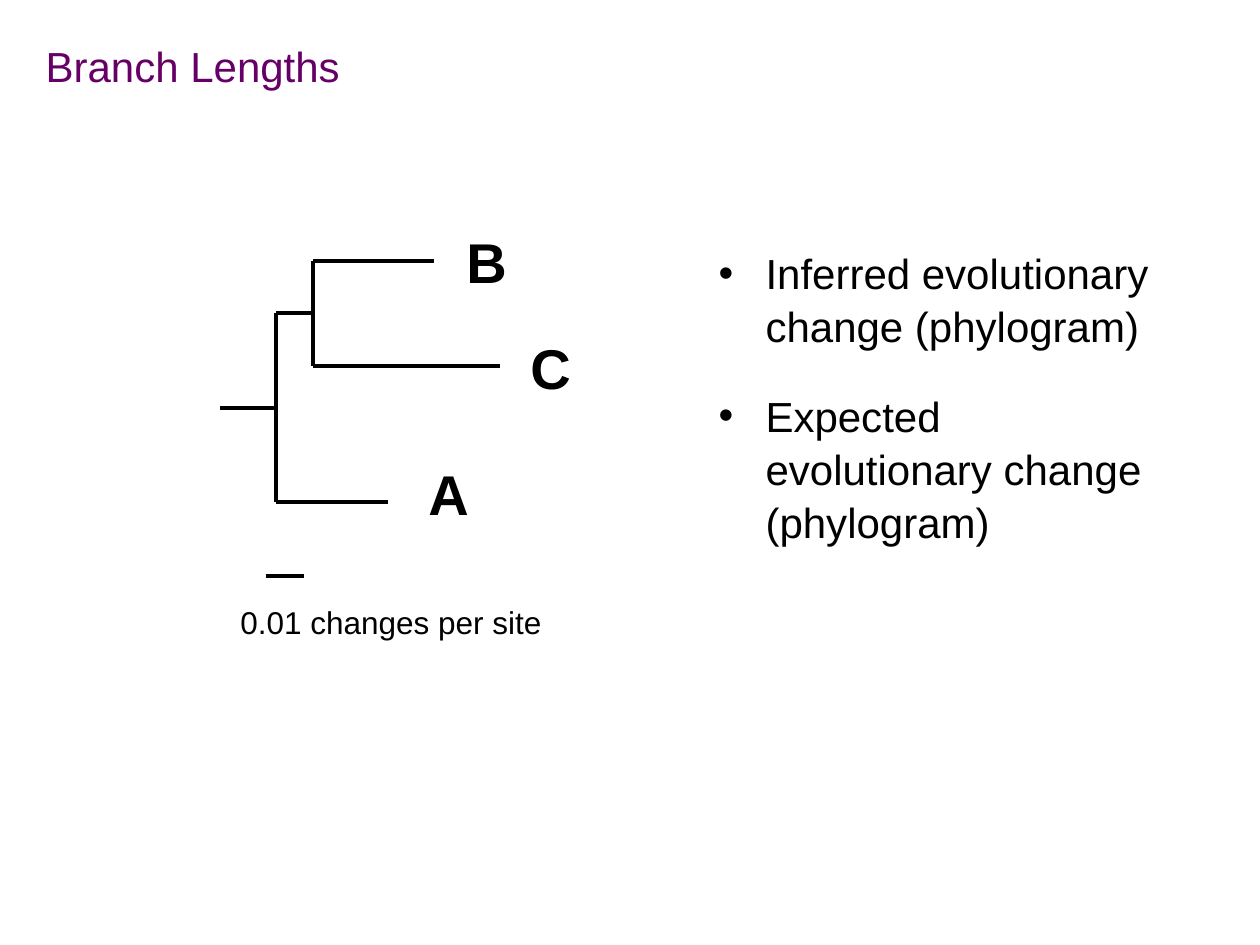
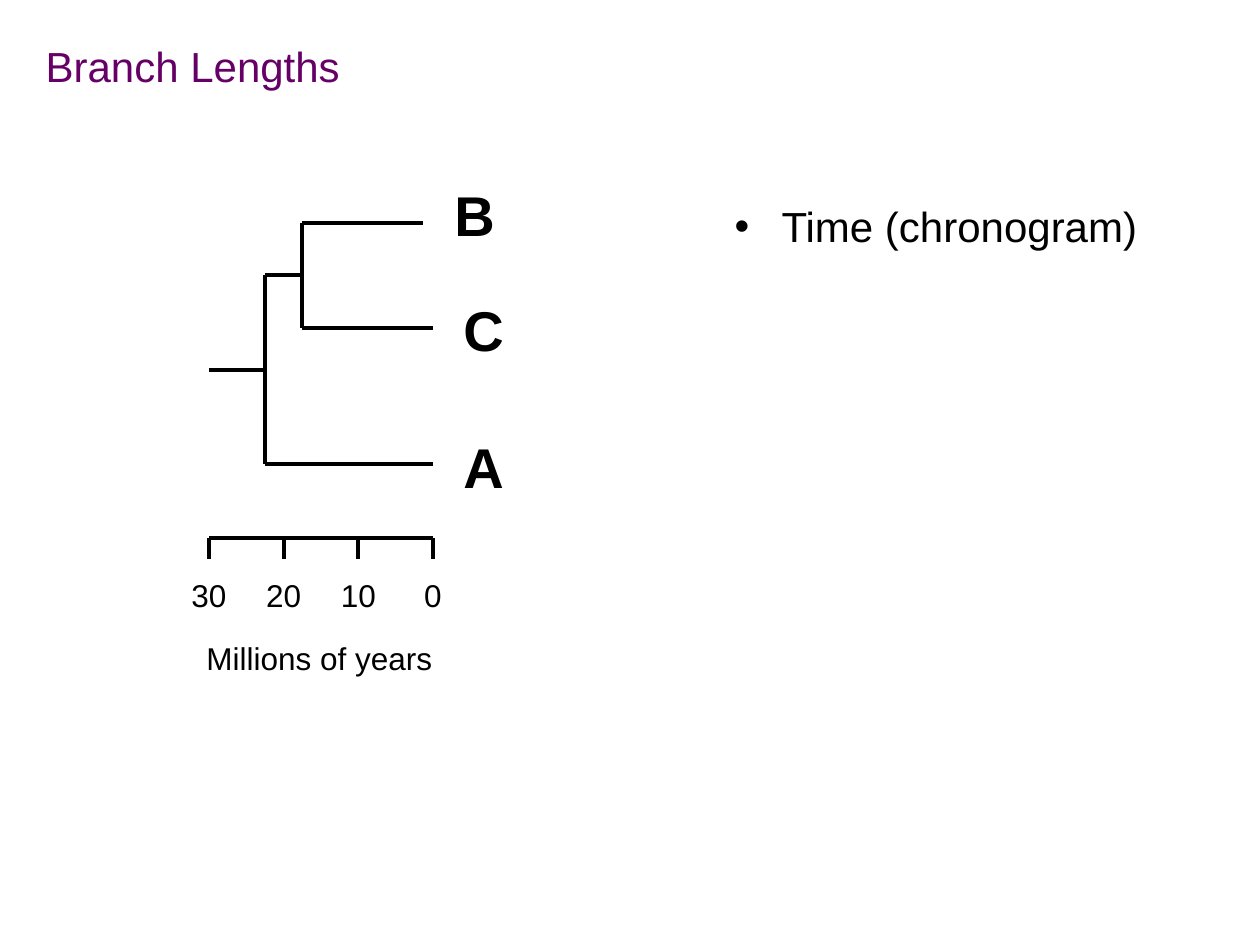
from lxml.etree import SubElement
from pptx import Presentation
from pptx.dml.color import RGBColor
from pptx.enum.shapes import MSO_CONNECTOR
from pptx.enum.text import MSO_ANCHOR as ANCHOR, MSO_AUTO_SIZE as AUTO, PP_ALIGN as ALIGN
from pptx.oxml.ns import qn
from pptx.util import Pt

PX = 914400 / 126  # EMU per px
BLACK = RGBColor(0x00, 0x00, 0x00)
PURPLE = RGBColor(0x66, 0x00, 0x66)
FONT = "Arial"


def emu(*lengths):
    return [round(n * PX) for n in lengths]


class Deck:
    """Shared style and the slide being built."""

    def __init__(self):
        self.prs = Presentation()
        self.prs.slide_width, self.prs.slide_height = emu(1260, 945)
        self.slide = None

    def new_slide(self, title):
        self.slide = self.prs.slides.add_slide(self.prs.slide_layouts[1])
        sp = self.slide.shapes.title
        self.place(sp, 33, 34, 323, 63)
        sp.text_frame.text = title
        self.format(sp.text_frame, 24, PURPLE)

    def place(self, sp, *box):
        sp.left, sp.top, sp.width, sp.height = emu(*box)

    def format(self, tf, size, color=BLACK, bold=False, wrap=False,
               align=ALIGN.LEFT, anchor=ANCHOR.TOP):
        tf.word_wrap, tf.auto_size = wrap, AUTO.NONE
        tf.vertical_anchor = anchor
        for p in tf.paragraphs:
            p.alignment = align
            for r in p.runs:
                r.font.name, r.font.size, r.font.bold = FONT, Pt(size), bold
                r.font.color.rgb = color

    def bullets(self, x, y, items):
        sp = self.slide.placeholders[1]
        self.place(sp, x, y, 485, 158)
        tf = sp.text_frame
        tf.text = "\n".join(items)
        for i, p in enumerate(tf.paragraphs):
            pPr = p._p.get_or_add_pPr()
            indent = emu(47)[0]
            pPr.set("marL", str(indent))
            pPr.set("indent", str(-indent))
            SubElement(pPr, qn("a:buFont")).set("typeface", FONT)
            SubElement(pPr, qn("a:buChar")).set("char", "•")
            p.line_spacing = 1.05
            p.space_before = Pt(21 if i else 0)
        self.format(tf, 24, wrap=True)

    def text(self, text, x, y, w, h, size, **style):
        sp = self.slide.shapes.add_textbox(*emu(x, y, w, h))
        sp.text_frame.text = text
        self.format(sp.text_frame, size, **style)

    def line(self, x1, y1, x2, y2):
        c = self.slide.shapes.add_connector(MSO_CONNECTOR.STRAIGHT, *emu(x1, y1, x2, y2))
        c.line.color.rgb = BLACK
        c.line.width = Pt(2.25)
        SubElement(c._element.spPr, qn("a:effectLst"))

    def tree(self, x, y, tips, labels):
        """Tree of ((B, C), A): x is the root's left end, y the row of B."""
        root, inner = x + 56, x + 93
        rows = {"B": y, "C": y + 105, "A": y + 241}
        starts = {"B": inner, "C": inner, "A": root}
        inner_y, root_y = y + 52, y + 147
        # Branches to the tips
        for name, row in rows.items():
            self.line(starts[name], row, tips[name], row)
        # Nodes and the branches behind them
        self.line(inner, rows["B"], inner, rows["C"])
        self.line(root, inner_y, inner, inner_y)
        self.line(root, inner_y, root, rows["A"])
        self.line(x, root_y, root, root_y)
        for name, (left, top) in labels.items():
            self.text(name, left, top, 29, 45, 32, bold=True, wrap=True,
                      anchor=ANCHOR.MIDDLE)

    def time_axis(self, left, right, y, values):
        self.line(left, y, right, y)
        step = (right - left) / (len(values) - 1)
        for i, value in enumerate(values):
            x = left + i * step
            self.line(x, y, x, y + 21)
            self.text(str(value), x - 30, y + 32, 60, 50, 18, align=ALIGN.CENTER)


def main():
    deck = Deck()

    # Phylogram
    deck.new_slide("Branch Lengths")
    deck.tree(220, 261, {"B": 434, "C": 500, "A": 388},
              {"B": (454, 239), "C": (518, 345), "A": (416, 471)})
    deck.bullets(706, 239, ["Inferred evolutionary change (phylogram)",
                            "Expected evolutionary change (phylogram)"])
    deck.line(266, 576, 304, 576)
    deck.text("0.01 changes per site", 228, 597, 330, 50, 18)

    # Chronogram
    deck.new_slide("Branch Lengths")
    deck.tree(209, 223, {"B": 423, "C": 433, "A": 433},
              {"B": (442, 192), "C": (451, 307), "A": (451, 444)})
    deck.bullets(722, 192, ["Time (chronogram)"])
    deck.time_axis(209, 433, 538, [30, 20, 10, 0])
    deck.text("Millions of years", 194, 633, 253, 50, 18)

    deck.prs.save("out.pptx")


if __name__ == "__main__":
    main()
